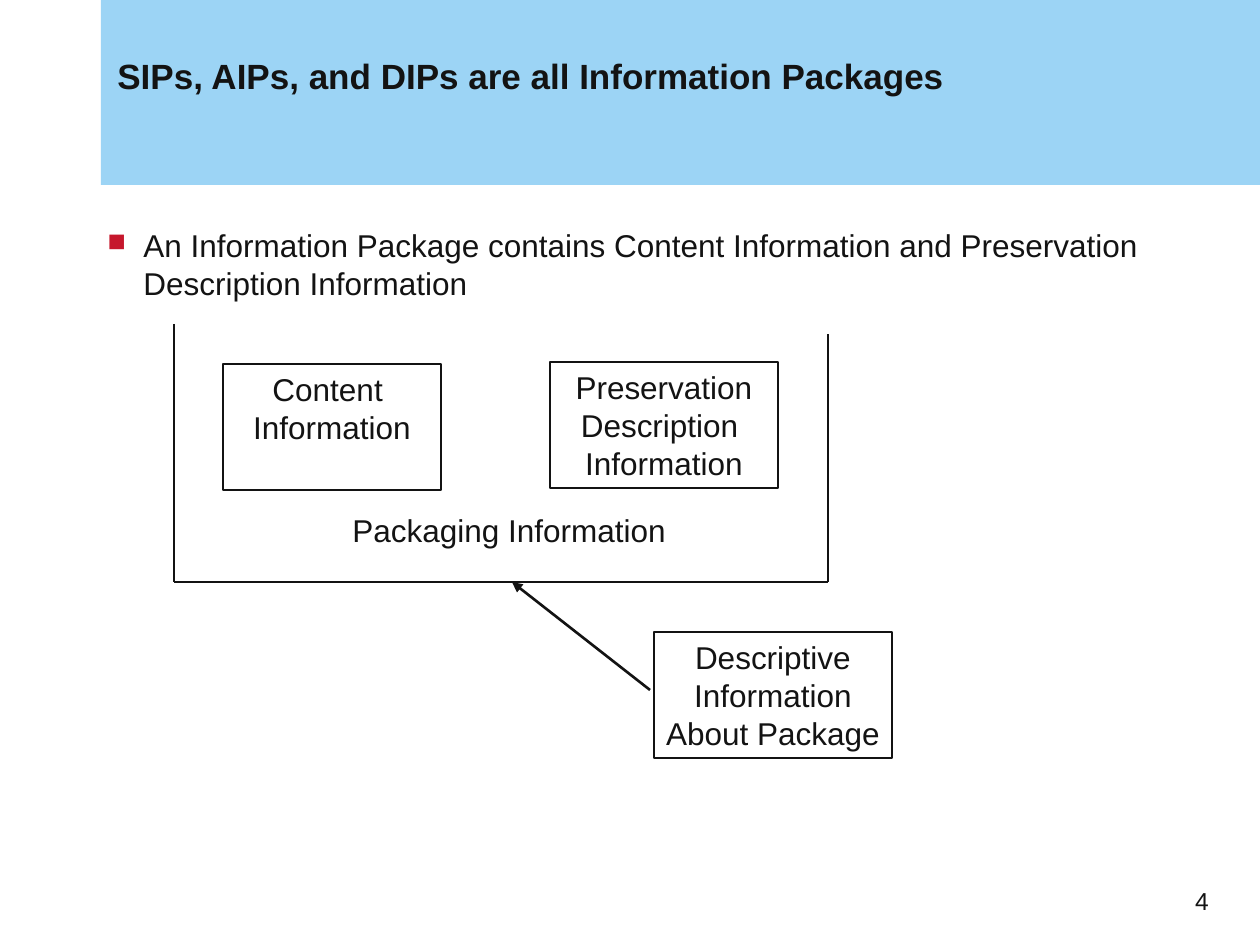
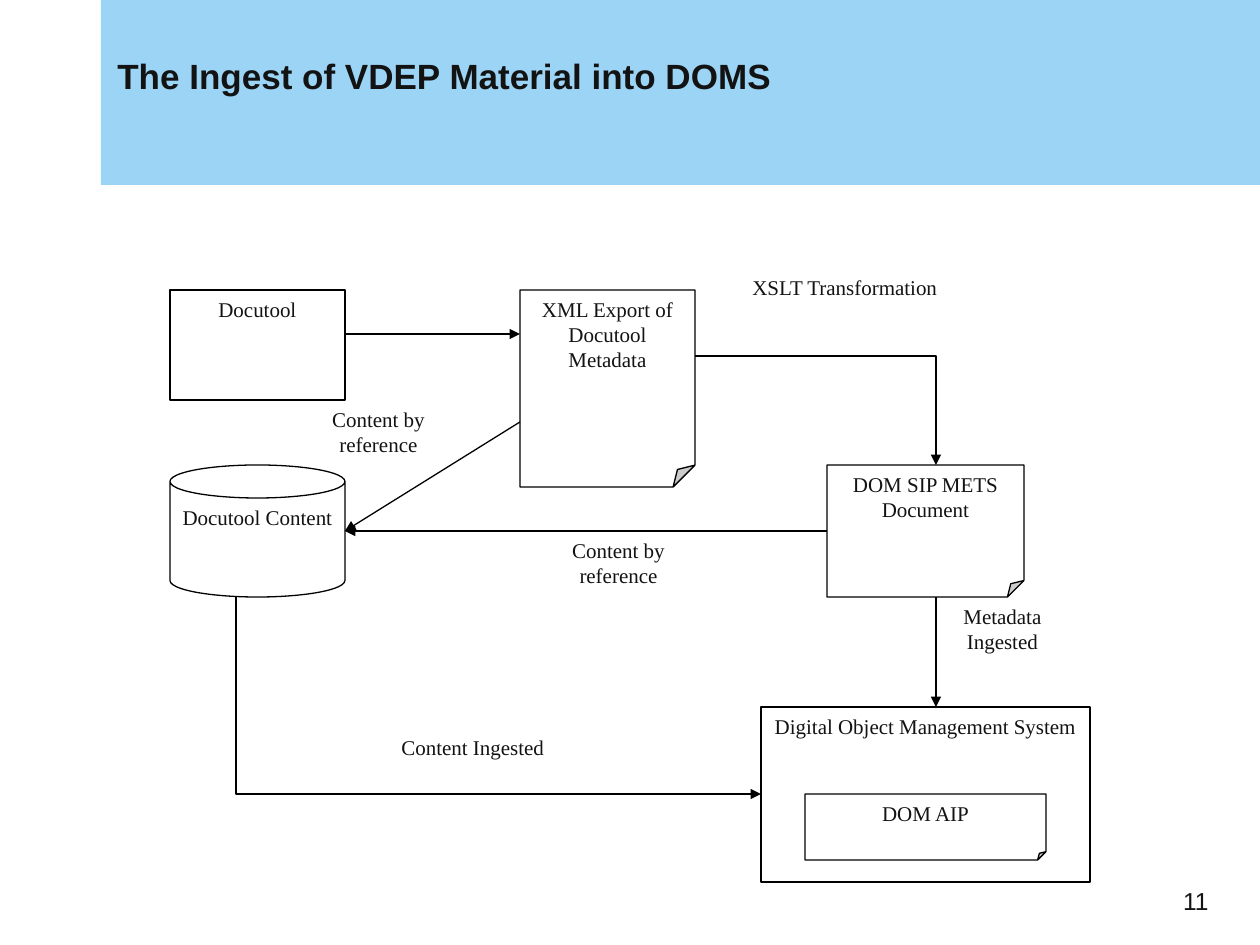
from itertools import pairwise

from lxml.etree import SubElement
from pptx import Presentation
from pptx.dml.color import RGBColor
from pptx.enum.shapes import MSO_CONNECTOR, MSO_SHAPE
from pptx.enum.text import MSO_ANCHOR, PP_ALIGN
from pptx.oxml.ns import qn
from pptx.util import Emu, Pt

# Shared look
EMU_PER_PX = 914400 / 126
INK = RGBColor(0x13, 0x13, 0x13)
BLACK = RGBColor(0, 0, 0)
WHITE = RGBColor(0xFF, 0xFF, 0xFF)
BAND_BLUE = RGBColor(0x9C, 0xD4, 0xF5)
BULLET_RED = "C6172C"
SANS, SERIF = "Arial", "Times New Roman"
LEFT, CENTER, RIGHT = PP_ALIGN.LEFT, PP_ALIGN.CENTER, PP_ALIGN.RIGHT
RECT, CAN, PAGE = MSO_SHAPE.RECTANGLE, MSO_SHAPE.CAN, MSO_SHAPE.FOLDED_CORNER

BAND = (101, 0, 1159, 185)
TITLE_BOX = (105, 53, 1081, 126)
BODY_BOX = (95, 220, 1092, 610)
NUMBER_BOX = (927, 880, 294, 65)

# Slide 4: boxes are (text, area, anchor)
PACKAGE_TITLE = "SIPs, AIPs, and DIPs are all Information Packages"
PACKAGE_BULLET = ("An Information Package contains Content Information "
                  "and Preservation Description Information")
PACKAGE_BOXES = [
    ("Content \vInformation", (223, 364, 218, 126), MSO_ANCHOR.TOP),
    ("Preservation\vDescription \vInformation", (550, 362, 228, 126), MSO_ANCHOR.MIDDLE),
    ("Descriptive\vInformation\nAbout Package", (654, 632, 238, 126), MSO_ANCHOR.MIDDLE),
]
PACKAGING_LABEL = ("Packaging Information", (340, 505, 339, 50))
PACKAGING_FRAME = [(174, 324), (174, 582), (828, 582), (828, 334)]
DESCRIPTION_ARROW = [(650, 690), (512, 582)]

# Slide 11: labels are (text, area, alignment), nodes are (text, kind, area)
INGEST_TITLE = "The Ingest of VDEP Material into DOMS"
INGEST_LABELS = [
    ("Content Ingested", (389, 728, 241, 66), LEFT),
    ("Metadata\vIngested", (915, 597, 175, 88), CENTER),
    ("Content by\vreference", (520, 531, 197, 88), CENTER),
    ("XSLT Transformation", (740, 268, 219, 110), LEFT),
    ("Content by\vreference", (280, 400, 197, 88), CENTER),
]
INGEST_NODES = [
    ("Docutool", RECT, (170, 290, 175, 110)),
    ("Docutool Content", CAN, (170, 465, 175, 132)),
    ("XML Export of Docutool Metadata", PAGE, (520, 290, 175, 197)),
    ("DOM SIP METS Document", PAGE, (827, 465, 197, 132)),
    ("Digital Object Management System", RECT, (761, 707, 329, 175)),
    ("DOM AIP", PAGE, (805, 794, 241, 66)),
]
INGEST_ARROWS = [
    [(345, 334), (520, 334)],
    [(520, 422), (345, 531)],
    [(695, 356), (936, 356), (936, 465)],
    [(827, 531), (345, 531)],
    [(936, 597), (936, 707)],
    [(236, 597), (236, 794), (761, 794)],
]


def px(*values):
    return [Emu(round(value * EMU_PER_PX)) for value in values]


def write(shape, text, size, font=SANS, align=LEFT, bold=False, wrap=True,
          anchor=MSO_ANCHOR.TOP):
    frame = shape.text_frame
    frame.text = text
    frame.word_wrap = wrap
    frame.vertical_anchor = anchor
    for paragraph in frame.paragraphs:
        paragraph.alignment = align
        for run in paragraph.runs:
            run.font.name = font
            run.font.size = Pt(size)
            run.font.bold = bold
            run.font.color.rgb = INK
    return frame


def add_text(slide, text, area, size, **style):
    return write(slide.shapes.add_textbox(*px(*area)), text, size, **style)


def add_box(slide, kind, area, fill=WHITE, line=None, width=0.75):
    shape = slide.shapes.add_shape(kind, *px(*area))
    shape.shadow.inherit = False
    shape.fill.solid()
    shape.fill.fore_color.rgb = fill
    if line is None:
        shape.line.fill.background()
    else:
        shape.line.color.rgb = line
        shape.line.width = Pt(width)
    return shape


def fold_corner(page):
    """Set the fold to one eighth of the shorter side."""
    geometry = page.element.spPr.find(qn("a:prstGeom"))
    guides = geometry.find(qn("a:avLst"))
    SubElement(guides, qn("a:gd"), name="adj", fmla="val 12500")


def add_line(slide, points, color, width, arrow=True):
    """Draw a straight connector, or an open bent line for more than two points."""
    if len(points) == 2:
        shape = slide.shapes.add_connector(
            MSO_CONNECTOR.STRAIGHT, *px(*points[0], *points[1]))
    else:
        builder = slide.shapes.build_freeform(*points[0], scale=EMU_PER_PX)
        builder.add_line_segments(points[1:], close=False)
        shape = builder.convert_to_shape()
        shape.fill.background()
    shape.line.color.rgb = color
    shape.line.width = Pt(width)
    properties = shape.element.spPr
    if arrow:
        SubElement(properties.find(qn("a:ln")), qn("a:tailEnd"), type="triangle")
    SubElement(properties, qn("a:effectLst"))


def add_bullet(slide, text):
    paragraph = add_text(slide, text, BODY_BOX, 18).paragraphs[0]
    properties = paragraph._p.get_or_add_pPr()
    indent = px(36)[0]
    properties.set("marL", str(indent))
    properties.set("indent", str(-indent))
    color = SubElement(properties, qn("a:buClr"))
    SubElement(color, qn("a:srgbClr"), val=BULLET_RED)
    SubElement(properties, qn("a:buSzPct"), val="80000")
    SubElement(properties, qn("a:buChar"), char="■")


def start_slide(presentation, title, number):
    slide = presentation.slides.add_slide(presentation.slide_layouts[6])
    add_box(slide, RECT, BAND, BAND_BLUE)
    frame = add_text(slide, title, TITLE_BOX, 20, bold=True)
    frame.paragraphs[0].line_spacing = 0.9
    add_text(slide, str(number), NUMBER_BOX, 14, align=RIGHT)
    return slide


def build_package_slide(presentation):
    slide = start_slide(presentation, PACKAGE_TITLE, 4)
    add_bullet(slide, PACKAGE_BULLET)
    for text, area, anchor in PACKAGE_BOXES:
        box = add_box(slide, RECT, area, line=INK, width=1.5)
        write(box, text, 18, align=CENTER, wrap=False, anchor=anchor)
    for side in pairwise(PACKAGING_FRAME):
        add_line(slide, side, INK, 1.5, arrow=False)
    add_text(slide, *PACKAGING_LABEL, 18, wrap=False)
    add_line(slide, DESCRIPTION_ARROW, INK, 1.5)


def build_ingest_slide(presentation):
    slide = start_slide(presentation, INGEST_TITLE, 11)
    for text, area, align in INGEST_LABELS:
        add_text(slide, text, area, 12, font=SERIF, align=align)
    for text, kind, area in INGEST_NODES:
        node = add_box(slide, kind, area, line=BLACK)
        if kind == PAGE:
            fold_corner(node)
        write(node, text, 12, font=SERIF, align=CENTER)
    for points in INGEST_ARROWS:
        add_line(slide, points, BLACK, 0.75)


def main():
    presentation = Presentation()
    presentation.slide_width, presentation.slide_height = px(1260, 945)
    build_package_slide(presentation)
    build_ingest_slide(presentation)
    presentation.save("out.pptx")


if __name__ == "__main__":
    main()
